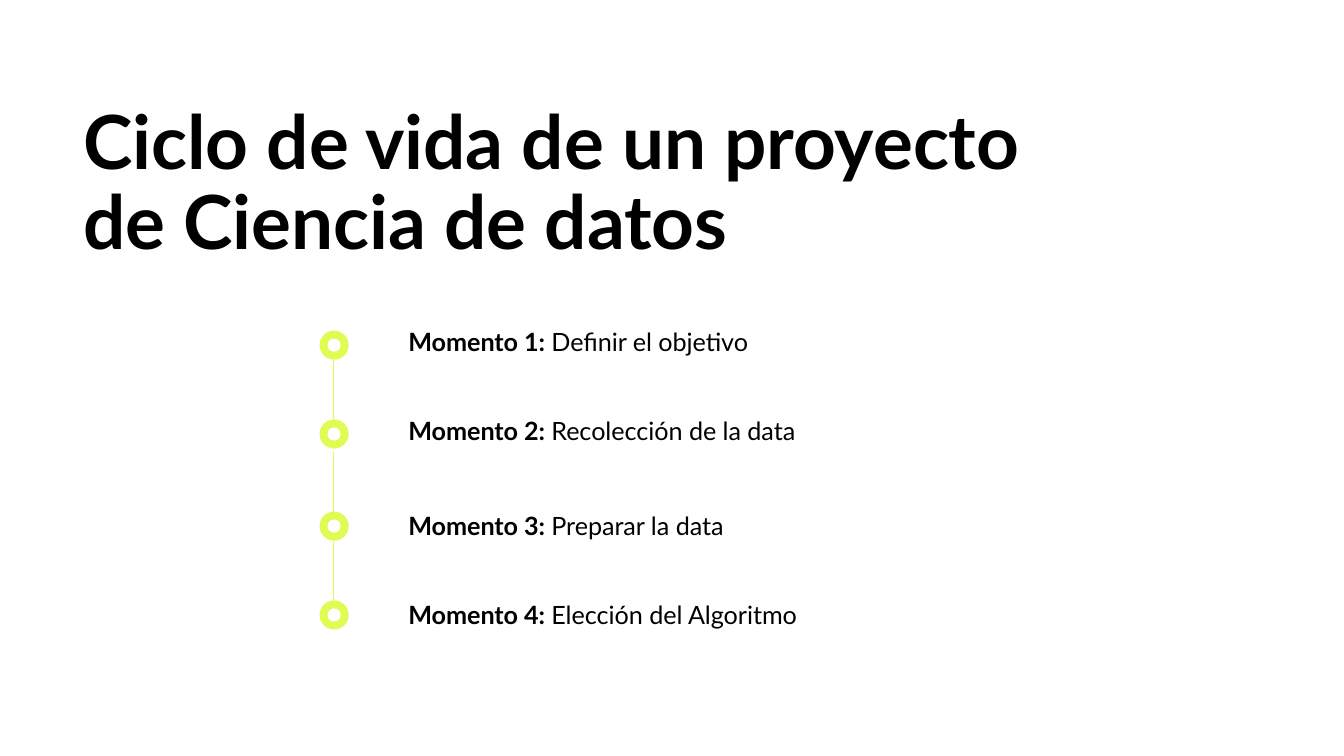
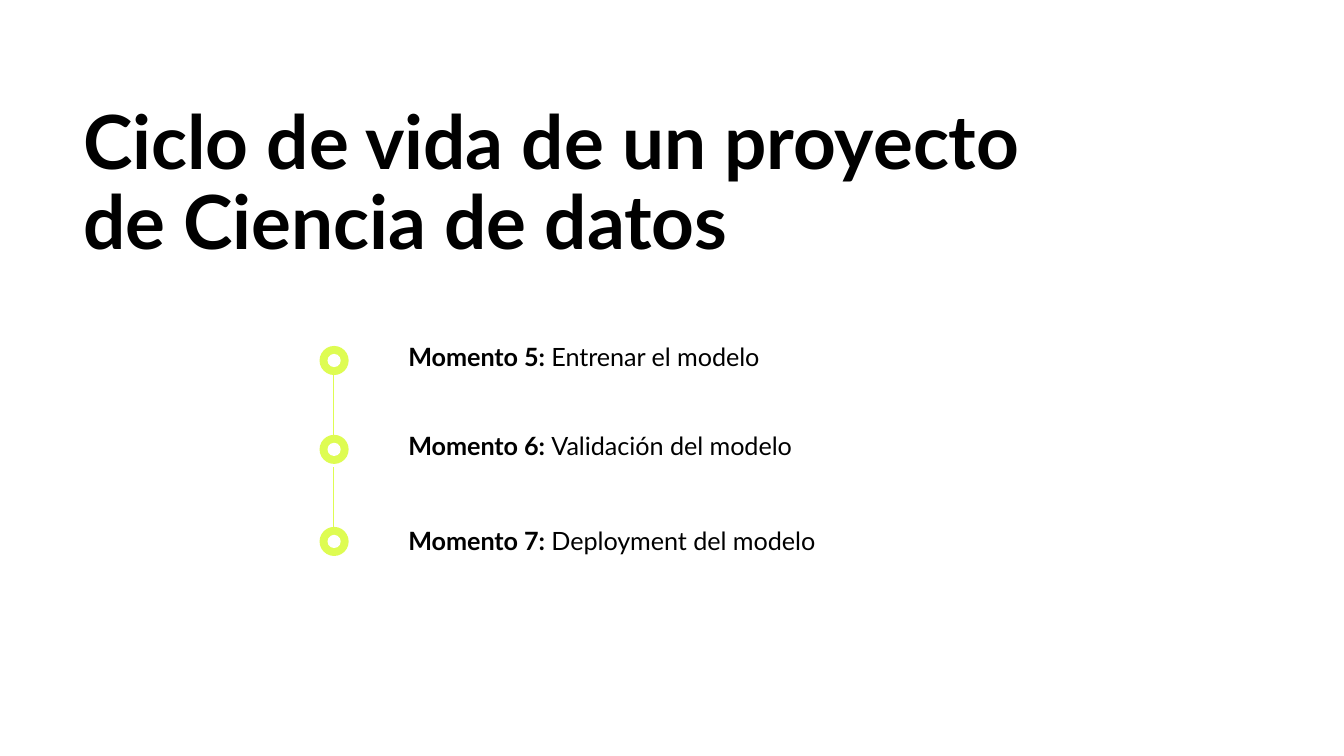
from dataclasses import dataclass

from lxml import etree
from pptx import Presentation
from pptx import util as u
from pptx.dml.color import RGBColor
from pptx.enum import shapes, text
from pptx.oxml.ns import qn


@dataclass(frozen=True)
class Theme:
    font: str = "Lato"
    ink: RGBColor = RGBColor(0x00, 0x00, 0x00)
    paper: RGBColor = RGBColor(0xFF, 0xFF, 0xFF)
    accent: RGBColor = RGBColor(0xDE, 0xFC, 0x52)
    title_size: float = 40
    label_size: float = 13.5
    line_width: float = 0.75


@dataclass(frozen=True)
class Moment:
    number: int
    description: str


@dataclass(frozen=True)
class Timeline:
    top: float
    moments: tuple[Moment, ...]


THEME = Theme()
TITLE = "Ciclo de vida de un proyecto\nde Ciencia de datos"
TIMELINES = (
    Timeline(6.25, (
        Moment(1, "Definir el objetivo"),
        Moment(2, "Recolección de la data"),
        Moment(3, "Preparar la data"),
        Moment(4, "Elección del Algoritmo"),
    )),
    Timeline(6.54, (
        Moment(5, "Entrenar el modelo"),
        Moment(6, "Validación del modelo"),
        Moment(7, "Deployment del modelo"),
    )),
)

# Lengths in centimetres; moments are spaced in pairs.
MARKER_LEFT, MARKER_SIZE, CORE_SIZE = 6.04, 0.55, 0.25
LINE_X, LINE_LENGTH = 6.3, 1.13
LABEL_LEFT, LABEL_RISE, LABEL_WIDTH, LABEL_HEIGHT = 7.47, 0.33, 11.89, 1.68
STEP, MARKER_PAIR_STEP, LABEL_PAIR_STEP = 1.68, 3.42, 3.48


def set_frame(frame) -> None:
    """Give a text frame the shared insets, wrapping and top anchor."""
    frame.word_wrap = True
    frame.auto_size = text.MSO_AUTO_SIZE.NONE
    frame.vertical_anchor = text.MSO_ANCHOR.TOP
    frame.margin_left = frame.margin_right = u.Cm(0.25)
    frame.margin_top = frame.margin_bottom = u.Cm(0.25)


def format_run(run, size: float, bold: bool) -> None:
    run.font.name = THEME.font
    run.font.size = u.Pt(size)
    run.font.bold = bold
    run.font.color.rgb = THEME.ink


def add_title(slide) -> None:
    title = slide.shapes.title
    title.left, title.top = u.Cm(1.32), u.Cm(1.73)
    title.width, title.height = u.Cm(22.6), u.Cm(5.13)
    set_frame(title.text_frame)
    title.text_frame.text = TITLE
    for paragraph in title.text_frame.paragraphs:
        paragraph.alignment = text.PP_ALIGN.LEFT
        paragraph.line_spacing = 0.9
        for run in paragraph.runs:
            format_run(run, THEME.title_size, True)


def add_marker(slide, top: float) -> None:
    """Draw a ring as a coloured disc with a paper-coloured core."""
    group = slide.shapes.add_group_shape()
    for size, color in ((MARKER_SIZE, THEME.accent), (CORE_SIZE, THEME.paper)):
        inset = (MARKER_SIZE - size) / 2
        disc = group.shapes.add_shape(
            shapes.MSO_SHAPE.OVAL, u.Cm(MARKER_LEFT + inset), u.Cm(top + inset),
            u.Cm(size), u.Cm(size))
        disc.shadow.inherit = False
        disc.fill.solid()
        disc.fill.fore_color.rgb = color
        disc.line.fill.background()


def add_line(slide, bottom: float) -> None:
    line = slide.shapes.add_connector(
        shapes.MSO_CONNECTOR.STRAIGHT, u.Cm(LINE_X), u.Cm(bottom - LINE_LENGTH),
        u.Cm(LINE_X), u.Cm(bottom))
    line.line.color.rgb = THEME.accent
    line.line.width = u.Pt(THEME.line_width)
    etree.SubElement(line._element.spPr, qn("a:effectLst"))


def add_label(slide, moment: Moment, top: float) -> None:
    label = slide.shapes.add_textbox(
        u.Cm(LABEL_LEFT), u.Cm(top), u.Cm(LABEL_WIDTH), u.Cm(LABEL_HEIGHT))
    set_frame(label.text_frame)
    paragraph = label.text_frame.paragraphs[0]
    for words, bold in ((f"Momento {moment.number}: ", True), (moment.description, False)):
        run = paragraph.add_run()
        run.text = words
        format_run(run, THEME.label_size, bold)


def add_timeline(slide, timeline: Timeline) -> None:
    for index, moment in enumerate(timeline.moments):
        pair, place = divmod(index, 2)
        marker_top = timeline.top + pair * MARKER_PAIR_STEP + place * STEP
        label_top = timeline.top - LABEL_RISE + pair * LABEL_PAIR_STEP + place * STEP
        if index:
            add_line(slide, marker_top)
        add_marker(slide, marker_top)
        add_label(slide, moment, label_top)


def main() -> None:
    presentation = Presentation()
    presentation.slide_width, presentation.slide_height = u.Cm(25.4), u.Cm(14.29)
    background = presentation.slide_master.background.fill
    background.solid()
    background.fore_color.rgb = THEME.paper
    title_only = presentation.slide_layouts.get_by_name("Title Only")
    for timeline in TIMELINES:
        slide = presentation.slides.add_slide(title_only)
        add_title(slide)
        add_timeline(slide, timeline)
    presentation.save("out.pptx")


if __name__ == "__main__":
    main()
